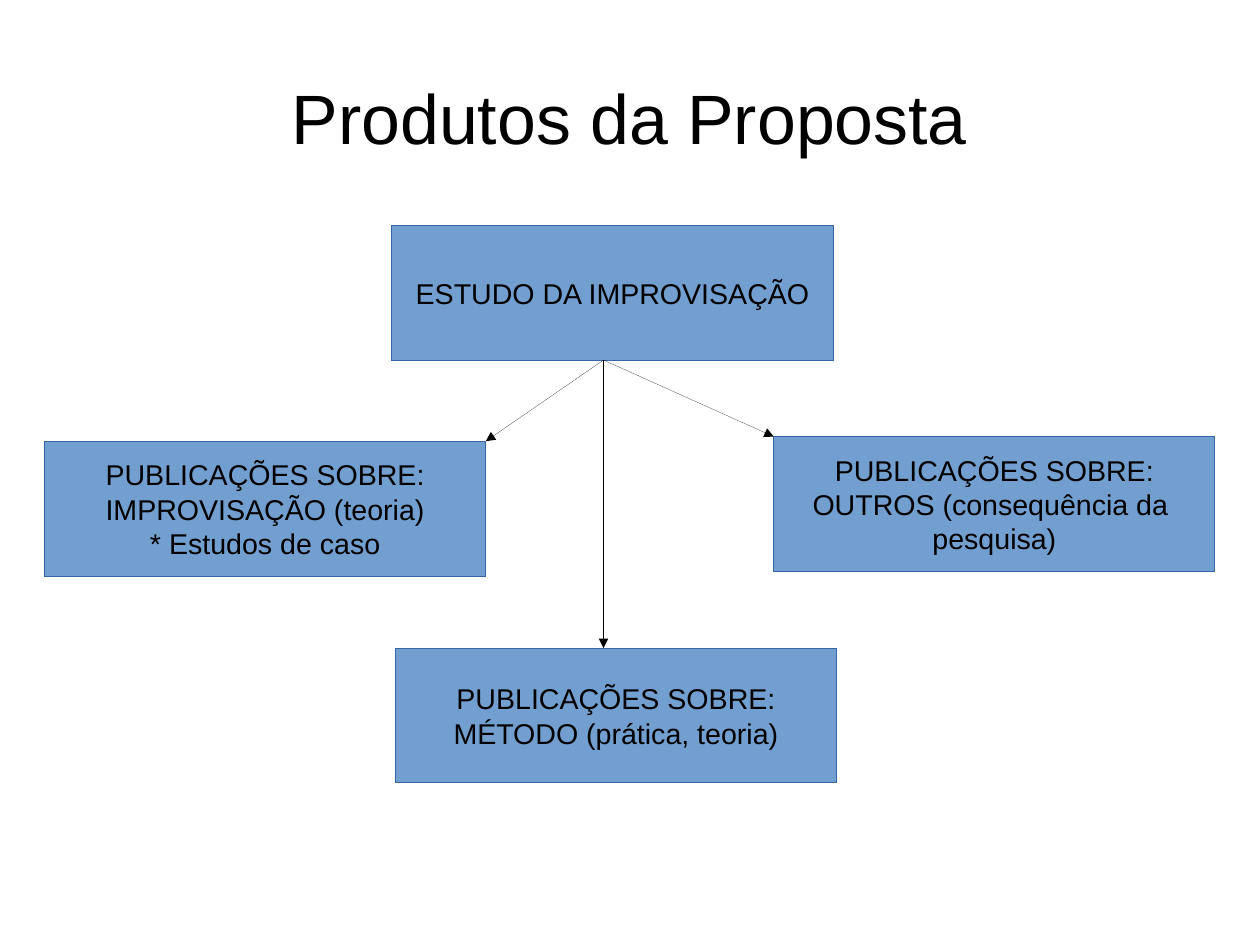
from lxml.etree import SubElement
from pptx import Presentation
from pptx.dml.color import RGBColor
from pptx.enum.shapes import MSO_CONNECTOR, MSO_SHAPE
from pptx.enum.text import MSO_ANCHOR, PP_ALIGN
from pptx.oxml.ns import qn
from pptx.util import Inches, Pt

COLORS = {"text": "000000", "box": "729FCF", "border": "3465A4", "arrow": "000000"}
FONT = "Arial"
CM_PER_INCH = 2.54
PAGE_WIDTH, PAGE_HEIGHT = 28 / CM_PER_INCH, 21 / CM_PER_INCH
HAIRLINE = Pt(0.01)
BOX_WIDTH, BOX_HEIGHT = 3.86, 1.18
ARROW_START = (5.28, 3.15)


def color(name):
    return RGBColor.from_string(COLORS[name])


def write_text(frame, text, size=18, margins=(0.1, 0.05), wrap=False):
    """Fill a frame with centred text, one paragraph for each line."""
    frame.word_wrap = wrap
    frame.vertical_anchor = MSO_ANCHOR.MIDDLE
    frame.margin_left = frame.margin_right = Inches(margins[0])
    frame.margin_top = frame.margin_bottom = Inches(margins[1])
    for index, line in enumerate(text.split("\n")):
        para = frame.add_paragraph() if index else frame.paragraphs[0]
        para.alignment = PP_ALIGN.CENTER
        span = para.add_run()
        span.text = line
        span.font.name = FONT
        span.font.size = Pt(size)
        span.font.color.rgb = color("text")


class Diagram:
    def __init__(self, page):
        self.page = page

    def title(self, text, left, top, width, height):
        box = self.page.shapes.add_textbox(
            Inches(left), Inches(top), Inches(width), Inches(height))
        write_text(box.text_frame, text, size=44, margins=(0, 0), wrap=True)

    def box(self, text, left, top):
        box = self.page.shapes.add_shape(
            MSO_SHAPE.RECTANGLE, Inches(left), Inches(top),
            Inches(BOX_WIDTH), Inches(BOX_HEIGHT))
        box.shadow.inherit = False
        box.fill.solid()
        box.fill.fore_color.rgb = color("box")
        box.line.color.rgb = color("border")
        box.line.width = HAIRLINE
        write_text(box.text_frame, text)

    def arrow(self, start, end):
        arrow = self.page.shapes.add_connector(
            MSO_CONNECTOR.STRAIGHT, *(Inches(value) for value in (*start, *end)))
        arrow.line.color.rgb = color("arrow")
        arrow.line.width = HAIRLINE
        properties = arrow._element.spPr
        SubElement(properties.find(qn("a:ln")), qn("a:tailEnd"), type="triangle")
        SubElement(properties, qn("a:effectLst"))


def main():
    deck = Presentation()
    deck.slide_width, deck.slide_height = Inches(PAGE_WIDTH), Inches(PAGE_HEIGHT)
    diagram = Diagram(deck.slides.add_slide(deck.slide_layouts[6]))

    diagram.title("Produtos da Proposta", 0.55, 0.33, 9.92, 1.38)
    for text, left, top in (
        ("ESTUDO DA IMPROVISAÇÃO", 3.43, 1.97),
        ("PUBLICAÇÕES SOBRE:\nIMPROVISAÇÃO (teoria)\n* Estudos de caso", 0.39, 3.86),
        ("PUBLICAÇÕES SOBRE:\nMÉTODO (prática, teoria)", 3.46, 5.67),
        ("PUBLICAÇÕES SOBRE:\nOUTROS (consequência da \npesquisa)", 6.77, 3.82),
    ):
        diagram.box(text, left, top)
    for end in ((4.25, 3.86), (5.28, 5.67), (6.77, 3.82)):
        diagram.arrow(ARROW_START, end)

    deck.save("out.pptx")


if __name__ == "__main__":
    main()
